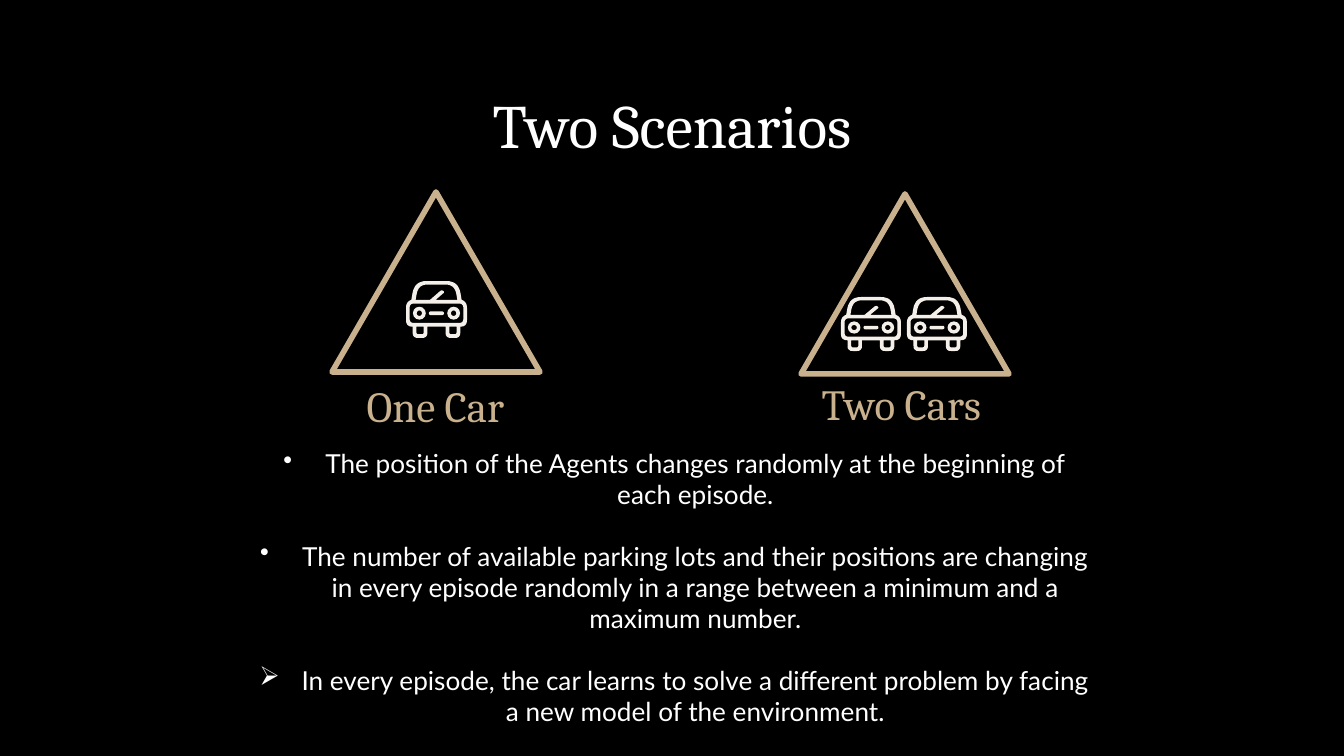
"""Build the "Two Scenarios" slide: two framed car icons above three bullet points."""
import pptx
import pptx.dml.color
import pptx.enum.shapes
import pptx.enum.text
import pptx.oxml.ns
import pptx.util
from lxml import etree

PX = 914400 / 134.4
BLACK = pptx.dml.color.RGBColor(0x00, 0x00, 0x00)
WHITE = pptx.dml.color.RGBColor(0xFF, 0xFF, 0xFF)
GOLD = pptx.dml.color.RGBColor(0xC9, 0xB1, 0x8E)
CREAM = pptx.dml.color.RGBColor(0xF4, 0xEF, 0xE8)
SHAPES = pptx.enum.shapes.MSO_SHAPE
CAR_WIDTH, CAR_HEIGHT = 456, 424


def rounded_outline(corners):
    """Return the points of a closed outline whose (x, y, radius) corners are rounded."""
    points = []
    for index, (x, y, radius) in enumerate(corners):
        if radius == 0:
            points.append((x, y))
            continue
        ends = []
        for near_x, near_y, _ in (corners[index - 1], corners[(index + 1) % len(corners)]):
            share = radius / ((near_x - x) ** 2 + (near_y - y) ** 2) ** 0.5
            ends.append((x + (near_x - x) * share, y + (near_y - y) * share))
        (start_x, start_y), (end_x, end_y) = ends
        for step in range(9):
            t = step / 8
            a, b, c = (1 - t) ** 2, 2 * t * (1 - t), t ** 2
            points.append((a * start_x + b * x + c * end_x, a * start_y + b * y + c * end_y))
    return points


def add_text(left, top, width, height, lines, font_name, size, color):
    """Add a centred text box and return its paragraphs."""
    box = slide.shapes.add_textbox(*(round(value * PX) for value in (left, top, width, height)))
    frame = box.text_frame
    frame.word_wrap = True
    frame.margin_left = frame.margin_right = pptx.util.Inches(0.1)
    frame.margin_top = frame.margin_bottom = pptx.util.Inches(0.1)
    frame.text = "\n".join(lines)
    for paragraph in frame.paragraphs:
        paragraph.alignment = pptx.enum.text.PP_ALIGN.CENTER
        paragraph.font.name = font_name
        paragraph.font.size = pptx.util.Pt(size)
        paragraph.font.color.rgb = color
    return frame.paragraphs


presentation = pptx.Presentation()
presentation.slide_width = round(1344 * PX)
presentation.slide_height = round(756 * PX)
slide = presentation.slides.add_slide(presentation.slide_layouts[6])
slide.background.fill.solid()
slide.background.fill.fore_color.rgb = BLACK

for left, top in ((332, 192), (801, 194)):
    triangle = slide.shapes.add_shape(
        SHAPES.ISOSCELES_TRIANGLE, *(round(value * PX) for value in (left, top, 208, 180)))
    triangle.shadow.inherit = False
    triangle.fill.background()
    triangle.line.color.rgb = GOLD
    triangle.line.width = pptx.util.Pt(3)
    etree.SubElement(triangle.line._get_or_add_ln(), pptx.oxml.ns.qn("a:round"))

add_text(234, 366, 403, 82, ["One Car"], "Cambria", 23, GOLD)
add_text(700, 364, 403, 82, ["Two Cars"], "Cambria", 23, GOLD)

bullet_points = [
    ("•", "The position of the Agents changes randomly at the beginning of each episode."),
    ("•", "The number of available parking lots and their positions are changing in every "
          "episode randomly in a range between a minimum and a maximum number."),
    ("➢", "In every episode, the car learns to solve a different problem by facing a new "
          "model of the environment."),
]
paragraphs = add_text(246, 434, 857, 149, [text for _, text in bullet_points], "Lato", 14, WHITE)
indent = round(42 * PX)
for paragraph, (mark, _) in zip(paragraphs, bullet_points):
    paragraph.space_after = pptx.util.Pt(16)
    properties = paragraph._p.get_or_add_pPr()
    properties.set("marL", str(indent))
    properties.set("indent", str(-indent))
    bullet = etree.Element(pptx.oxml.ns.qn("a:buChar"), char=mark)
    properties.find(pptx.oxml.ns.qn("a:defRPr")).addprevious(bullet)

add_text(103, 73, 1138, 97, ["Two Scenarios"], "Cambria", 33, WHITE)

left_side = [(160, 340, 0), (160, 424, 40), (50, 424, 40), (50, 340, 0),
             (0, 340, 50), (0, 150, 50), (40, 140, 0), (65, 0, 90)]
right_side = [(CAR_WIDTH - x, y, radius) for x, y, radius in reversed(left_side)]
windscreen = [(72, 140, 0), (92, 26, 70), (364, 26, 70), (384, 140, 0), (222, 140, 0),
              (290, 82, 14), (266, 66, 14), (180, 140, 0)]
bumper = [(28, 168, 32), (428, 168, 32), (428, 312, 32), (28, 312, 32)]
left_wheel = [(78, 340, 0), (132, 340, 0), (132, 396, 16), (78, 396, 16)]
right_wheel = [(CAR_WIDTH - x, y, radius) for x, y, radius in left_wheel]
outlines = [rounded_outline(corners) for corners in (
    left_side + right_side, windscreen, bumper, left_wheel, right_wheel)]
details = [(SHAPES.DONUT, 52, 192, 96, 96, 0.29), (SHAPES.DONUT, 308, 192, 96, 96, 0.29),
           (SHAPES.ROUNDED_RECTANGLE, 171, 226, 114, 28, 0.5)]

for left, top, width, height in ((406, 281, 61, 57), (907, 297, 60, 54), (841, 297, 60, 54)):
    scale_x, scale_y = width * PX / CAR_WIDTH, height * PX / CAR_HEIGHT
    car = slide.shapes.add_group_shape()
    builder = car.shapes.build_freeform(*outlines[0][0], scale=(scale_x, scale_y))
    builder.add_line_segments(outlines[0][1:])
    for outline in outlines[1:]:
        builder.move_to(*outline[0])
        builder.add_line_segments(outline[1:])
    builder.convert_to_shape(round(left * PX), round(top * PX))
    for kind, x, y, detail_width, detail_height, adjustment in details:
        detail = car.shapes.add_shape(
            kind, round(left * PX + x * scale_x), round(top * PX + y * scale_y),
            round(detail_width * scale_x), round(detail_height * scale_y))
        detail.adjustments[0] = adjustment
    for shape in car.shapes:
        shape.shadow.inherit = False
        shape.fill.solid()
        shape.fill.fore_color.rgb = CREAM
        shape.line.fill.background()

presentation.save("out.pptx")
